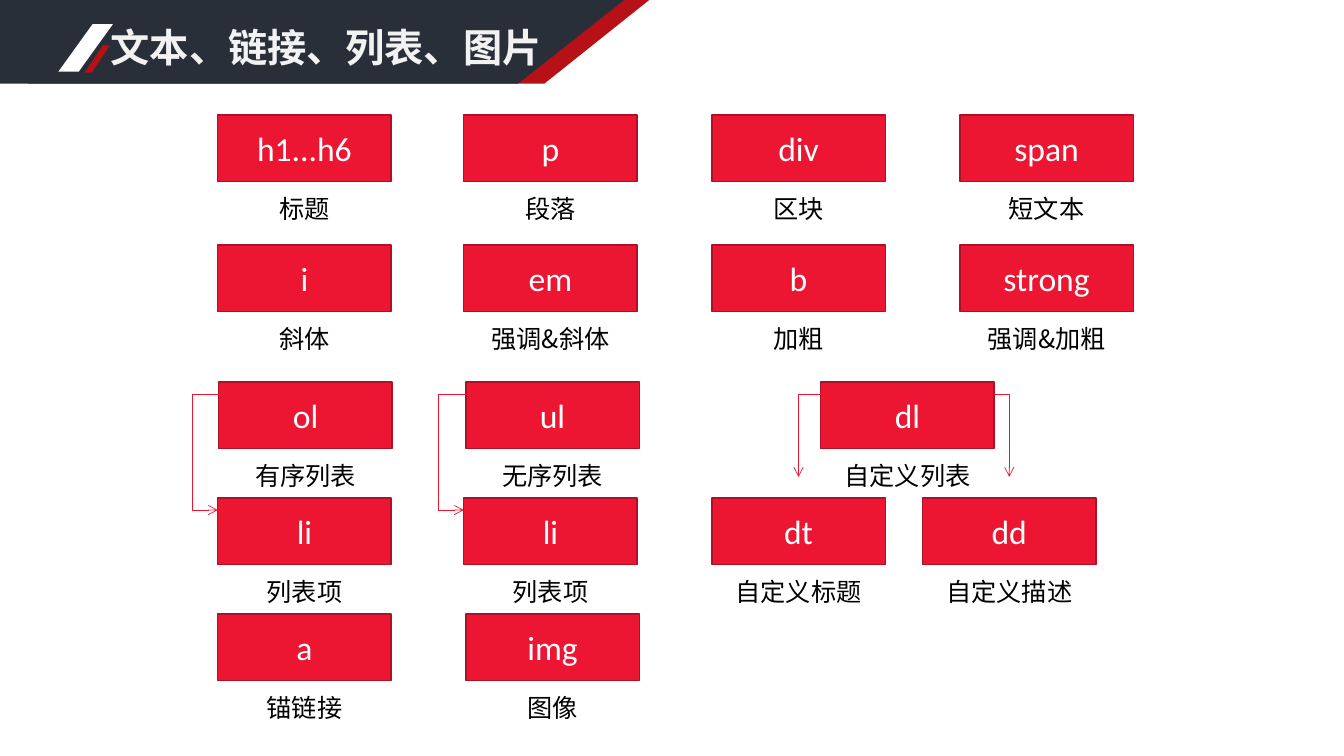
import pptx
import pptx.util
import pptx.dml.color
import pptx.enum.shapes
import pptx.enum.text
import pptx.oxml
import pptx.oxml.ns
from dataclasses import dataclass
from pptx.util import Inches


@dataclass(frozen=True)
class Theme:
    red: str = "EC1632"
    edge: str = "AF1025"
    deep: str = "B61117"
    dark: str = "282F39"
    white: str = "FFFFFF"
    pale: str = "F2F2F2"
    black: str = "000000"
    latin: str = "Calibri"
    asian: str = "Noto Sans CJK SC"
    head: int = 28
    tag: int = 24
    label: int = 18


theme = Theme()
Kind = pptx.enum.shapes.MSO_SHAPE
Align = pptx.enum.text.PP_ALIGN
qn = pptx.oxml.ns.qn


def paint(shape, fill, edge=None):
    shape.shadow.inherit = False
    shape.fill.solid()
    shape.fill.fore_color.rgb = pptx.dml.color.RGBColor.from_string(fill)
    if edge:
        shape.line.color.rgb = pptx.dml.color.RGBColor.from_string(edge)
        shape.line.width = pptx.util.Pt(1)
    else:
        shape.line.fill.background()


def write(shape, text, size, color, font=theme.asian, bold=False,
          align=Align.CENTER, anchor=pptx.enum.text.MSO_ANCHOR.TOP, wrap=True):
    frame = shape.text_frame
    frame.word_wrap = wrap
    frame.vertical_anchor = anchor
    para = frame.paragraphs[0]
    para.alignment = align
    run = para.add_run()
    run.text = text
    run.font.size = pptx.util.Pt(size)
    run.font.bold = bold
    run.font.name = font
    run.font.color.rgb = pptx.dml.color.RGBColor.from_string(color)
    east = pptx.oxml.parse_xml(
        f'<a:ea {pptx.oxml.ns.nsdecls("a")} typeface="{font}"/>')
    run.font._element.find(qn("a:latin")).addnext(east)


deck = pptx.Presentation()
deck.slide_width = Inches(13.33)
deck.slide_height = Inches(7.5)
slide = deck.slides.add_slide(deck.slide_layouts[6])
shapes = slide.shapes

for left, top_right, low_right, fill in [
    (0.28, 6.44, 5.4, theme.deep),
    (0, 6.19, 5.14, theme.dark),
]:
    pen = shapes.build_freeform(Inches(left), 0)
    pen.add_line_segments([
        (Inches(top_right), 0),
        (Inches(low_right), Inches(0.83)),
        (Inches(left), Inches(0.83)),
    ], close=True)
    paint(pen.convert_to_shape(), fill)

for left, top, width, height, fill in [
    (0.58, 0.24, 0.54, 0.47, theme.white),
    (0.84, 0.45, 0.25, 0.27, theme.deep),
]:
    slash = shapes.add_shape(Kind.PARALLELOGRAM, Inches(left), Inches(top),
                             Inches(width), Inches(height))
    slash.adjustments[0] = 0.72
    paint(slash, fill)

title = shapes.add_textbox(Inches(1), Inches(0.18), Inches(4.51), Inches(0.57))
write(title, "文本、链接、列表、图片", theme.head, theme.pale,
      bold=True, align=Align.LEFT, wrap=False)

wide, high, drop = 1.72, 0.66, 0.73
rows = [
    (1.14, [(2.16, "h1...h6", "标题"), (4.6, "p", "段落"),
            (7.06, "div", "区块"), (9.52, "span", "短文本")]),
    (2.43, [(2.16, "i", "斜体"), (4.6, "em", "强调&斜体"),
            (7.06, "b", "加粗"), (9.52, "strong", "强调&加粗")]),
    (3.79, [(2.17, "ol", "有序列表"), (4.62, "ul", "无序列表"),
            (8.14, "dl", "自定义列表")]),
    (4.94, [(2.16, "li", "列表项"), (4.6, "li", "列表项"),
            (7.06, "dt", "自定义标题"), (9.15, "dd", "自定义描述")]),
    (6.09, [(2.16, "a", "锚链接"), (4.62, "img", "图像")]),
]
for top, cards in rows:
    for left, tag, label in cards:
        group = shapes.add_group_shape()
        box = group.shapes.add_shape(Kind.RECTANGLE, Inches(left), Inches(top),
                                     Inches(wide), Inches(high))
        paint(box, theme.red, theme.edge)
        write(box, tag, theme.tag, theme.white, font=theme.latin,
              anchor=pptx.enum.text.MSO_ANCHOR.MIDDLE)
        note = group.shapes.add_textbox(Inches(left), Inches(top + drop),
                                        Inches(wide), Inches(0.42))
        write(note, label, theme.label, theme.black)

reach = 0.27
for start, end, low, bend in [
    (8.14, 7.92, 4.73, "bentConnector2"),
    (9.86, 10.01, 4.73, "bentConnector2"),
    (2.17, 2.16, 5.06, "bentConnector3"),
    (4.62, 4.6, 5.06, "bentConnector3"),
]:
    link = shapes.add_connector(pptx.enum.shapes.MSO_CONNECTOR.ELBOW,
                                Inches(start), Inches(3.91),
                                Inches(end), Inches(low))
    link.line.color.rgb = pptx.dml.color.RGBColor.from_string(theme.red)
    link.line.width = pptx.util.Pt(0.5)
    props = link._element.spPr
    shape = props.find(qn("a:prstGeom"))
    shape.set("prst", bend)
    if bend == "bentConnector3":
        guide = pptx.oxml.parse_xml(
            f'<a:gd {pptx.oxml.ns.nsdecls("a")} name="adj1" '
            f'fmla="val {round(reach / (start - end) * 100000)}"/>')
        shape.find(qn("a:avLst")).append(guide)
    props.find(qn("a:ln")).append(pptx.oxml.parse_xml(
        f'<a:tailEnd {pptx.oxml.ns.nsdecls("a")} type="arrow"/>'))
    props.append(pptx.oxml.parse_xml(
        f'<a:effectLst {pptx.oxml.ns.nsdecls("a")}/>'))

deck.save("out.pptx")
